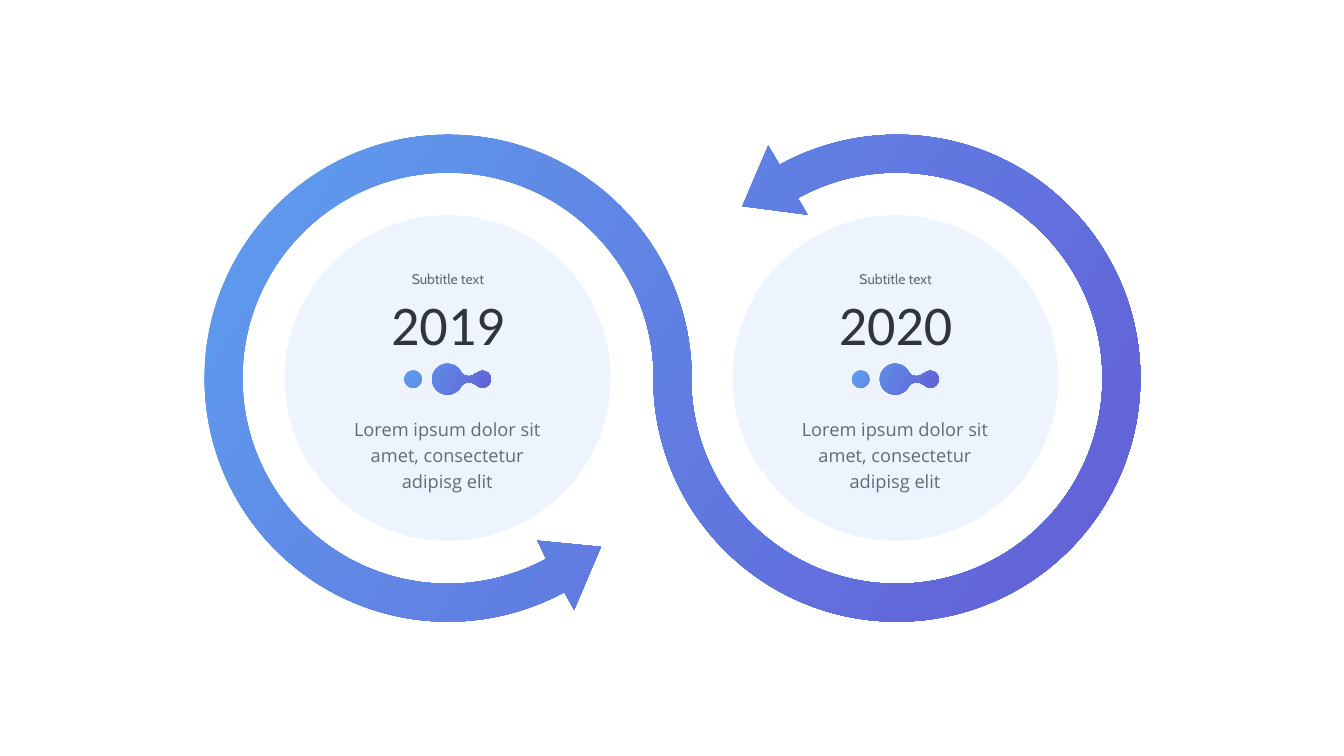
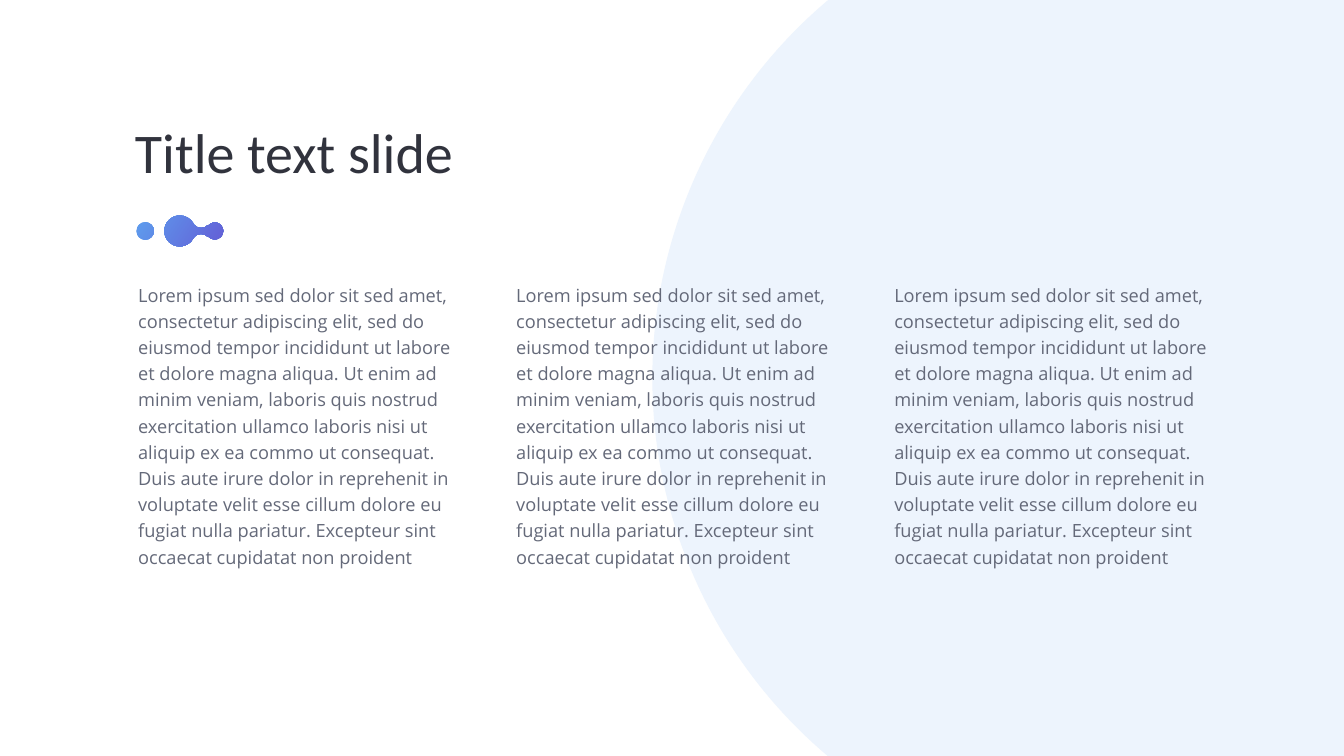
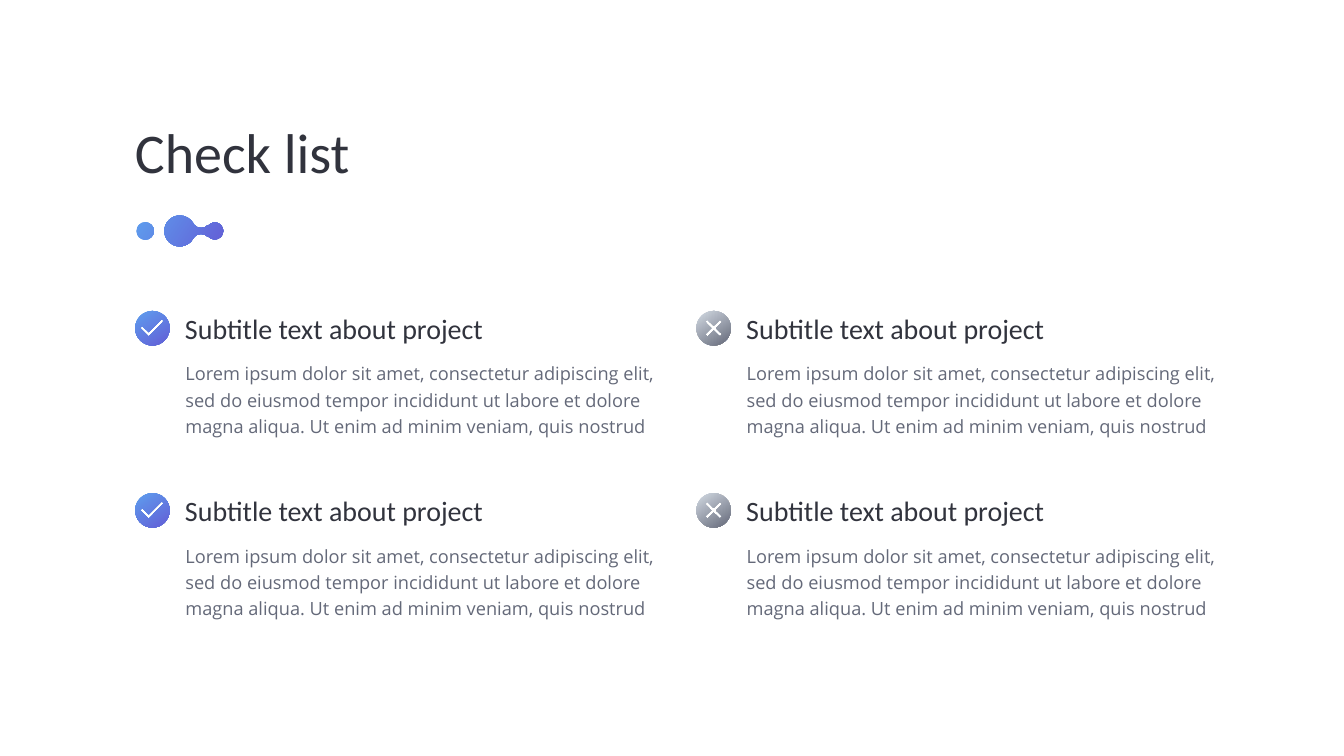
from math import cos, radians, sin, tan

from pptx import Presentation
from pptx.dml.color import RGBColor
from pptx.enum.shapes import MSO_SHAPE
from pptx.enum.text import MSO_ANCHOR, MSO_AUTO_SIZE, PP_ALIGN
from pptx.oxml.ns import qn
from pptx.util import Cm, Pt

OVAL = MSO_SHAPE.OVAL
TOP, MIDDLE = MSO_ANCHOR.TOP, MSO_ANCHOR.MIDDLE
LEFT, CENTER = PP_ALIGN.LEFT, PP_ALIGN.CENTER
FIT_SHAPE = MSO_AUTO_SIZE.SHAPE_TO_FIT_TEXT

INK, GRAY, PALE = "31333D", "646979", "EDF4FD"
BLUE_VIOLET = ("5E9EEE", "635ED6")
SILVER_GRAY = ("D4DBE4", GRAY)

TITLE = ("Calibri", 80, INK, MIDDLE, 1)
SUBTITLE = ("Calibri", 40, INK, MIDDLE, 1)
CAPTION = ("Cabin", 20, GRAY, MIDDLE, 1)
BODY = ("Open Sans", 26, GRAY, TOP, 1.2)

MARK = [
    [(2.18, 0.77, 0.78, -29, -331), (3.25, 1.4, 0.48, 214, 315),
     (3.94, 0.77, 0.43, 140, -140), (3.25, 0.14, 0.48, 45, 146)],
    [(0.44, 0.77, 0.44, 0, 360)],
]
BADGE = [(0.87, 0.87, 0.87, 0, 360)]
CHECK = [(0.69, 1.3), (0.25, 0.86), (0.36, 0.76), (0.69, 1.07), (1.35, 0.41), (1.45, 0.51)]
CROSS = [(1.3, 1.17), (1.19, 1.3), (0.87, 0.99), (0.55, 1.3), (0.44, 1.17), (0.75, 0.87),
         (0.44, 0.55), (0.55, 0.44), (0.87, 0.75), (1.19, 0.44), (1.3, 0.55), (0.99, 0.87)]
LOOP = [
    (22.58, 19.06, 12.27, 0, -298.5),
    (28.93, 30.73), (30.28, 27.56), (27.08, 27.25),
    (22.58, 19.06, 10.36, 61.5, 360),
    (45.19, 19.06, 12.27, 180, -118.8),
    (38.71, 7.34), (37.41, 10.39), (40.69, 10.82),
    (45.19, 19.06, 10.36, -118.8, 180),
]


def draw_outline(slide, contours, left, top, colors, angle):
    builder = None
    curved_steps = []
    for contour in contours:
        points, steps = [], []
        for x, y, *arc in contour:
            steps.append(False)
            if not arc:
                points.append((x, y))
                continue
            radius, start, end = arc
            quarters = [turn for turn in range(-360, 361, 90)
                        if min(start, end) < turn < max(start, end)]
            turns = [radians(turn) for turn in
                     [start, *sorted(quarters, reverse=start > end), end]]
            points.append((x + radius * cos(turns[0]), y + radius * sin(turns[0])))
            for a, b in zip(turns, turns[1:]):
                pull = 4 / 3 * tan((b - a) / 4)
                points += [
                    (x + radius * (cos(a) - pull * sin(a)), y + radius * (sin(a) + pull * cos(a))),
                    (x + radius * (cos(b) + pull * sin(b)), y + radius * (sin(b) - pull * cos(b))),
                    (x + radius * cos(b), y + radius * sin(b)),
                ]
                steps.append(True)
        points = [(Cm(x), Cm(y)) for x, y in points]
        if builder is None:
            builder = slide.shapes.build_freeform(*points[0])
        else:
            builder.move_to(*points[0])
        builder.add_line_segments(points[1:], close=True)
        curved_steps += steps[1:]
    shape = builder.convert_to_shape(Cm(left), Cm(top))

    lines = iter(list(shape.element.iter(qn("a:lnTo"))))
    for curved in curved_steps:
        line = next(lines)
        if curved:
            line.tag = qn("a:cubicBezTo")
            for extra in (next(lines), next(lines)):
                line.append(extra[0])
                extra.getparent().remove(extra)

    shape.shadow.inherit = False
    shape.line.fill.background()
    shape.fill.gradient()
    shape.fill.gradient_angle = 360 - angle
    for stop, color in zip(shape.fill.gradient_stops, colors):
        stop.color.rgb = RGBColor.from_string(color)


def write_text(slide, text, box, style, alignment=LEFT, placeholder=None):
    shape = placeholder or slide.shapes.add_textbox(0, 0, 0, 0)
    shape.left, shape.top, shape.width, shape.height = [Cm(length) for length in box]
    font, size, color, anchor, spacing = style
    frame = shape.text_frame
    frame.word_wrap = True
    frame.auto_size = FIT_SHAPE
    frame.vertical_anchor = anchor
    frame.margin_left = frame.margin_right = Cm(0.15)
    frame.margin_top = frame.margin_bottom = Cm(0.15)
    paragraph = frame.paragraphs[0]
    paragraph.alignment = alignment
    paragraph.line_spacing = spacing
    run = paragraph.add_run()
    run.text = text
    run.font.name = font
    run.font.size = Pt(size)
    run.font.color.rgb = RGBColor.from_string(color)


presentation = Presentation()
presentation.slide_width = Cm(67.72)
presentation.slide_height = Cm(38.1)
title_only, blank = presentation.slide_layouts[5], presentation.slide_layouts[6]
years_slide, text_slide, check_slide = [
    presentation.slides.add_slide(layout) for layout in (blank, title_only, title_only)
]

for slide, left, top, size in [
    (years_slide, 14.35, 10.85, 16.41),
    (years_slide, 36.91, 10.85, 16.41),
    (text_slide, 32.87, -5.87, 49.86),
]:
    disc = slide.shapes.add_shape(OVAL, Cm(left), Cm(top), Cm(size), Cm(size))
    disc.shadow.inherit = False
    disc.fill.solid()
    disc.fill.fore_color.rgb = RGBColor.from_string(PALE)
    disc.line.fill.background()

for slide, title, width in [
    (text_slide, "Title text slide", 25.32),
    (check_slide, "Check list", 33.48),
]:
    write_text(slide, title, (6.65, 5.77, width, 3.66), TITLE, placeholder=slide.shapes.title)
    draw_outline(slide, MARK, 6.88, 10.87, BLUE_VIOLET, 33)

draw_outline(years_slide, [LOOP], 0, 0, BLUE_VIOLET, 33)
for column, year in enumerate(["2019", "2020"]):
    shift = column * 22.56
    write_text(years_slide, year, (18.11 + shift, 14.43, 8.92, 3.66), TITLE, CENTER)
    draw_outline(years_slide, MARK, 20.37 + shift, 18.34, BLUE_VIOLET, 33)
    write_text(years_slide, "Subtitle text", (19.08 + shift, 13.51, 6.98, 1.12), CAPTION, CENTER)
    write_text(years_slide, "Lorem ipsum dolor sit amet, consectetur adipisg elit",
               (17.22 + shift, 20.7, 10.64, 4.24), BODY, CENTER)

column_text = (
    "Lorem ipsum sed dolor sit sed amet, consectetur adipiscing elit, sed do eiusmod tempor "
    "incididunt ut labore et dolore magna aliqua. Ut enim ad minim veniam, laboris quis nostrud "
    "exercitation ullamco laboris nisi ut aliquip ex ea commo ut consequat. Duis aute irure dolor "
    "in reprehenit in voluptate velit esse cillum dolore eu fugiat nulla pariatur. Excepteur sint "
    "occaecat cupidatat non proident"
)
for column in range(3):
    write_text(text_slide, column_text, (6.81 + column * 19.05, 13.94, 16.08, 14.81), BODY)

item_text = (
    "Lorem ipsum dolor sit amet, consectetur adipiscing elit, sed do eiusmod tempor incididunt "
    "ut labore et dolore magna aliqua. Ut enim ad minim veniam, quis nostrud"
)
for column, (symbol, colors) in enumerate([(CHECK, BLUE_VIOLET), (CROSS, SILVER_GRAY)]):
    for row in range(2):
        left, top = 6.81 + column * 28.28, 15.67 + row * 9.18
        draw_outline(check_slide, [BADGE, symbol], left, top, colors, 56)
        write_text(check_slide, "Subtitle text about project",
                   (left + 2.36, top - 0.1, 19.1, 1.98), SUBTITLE)
        write_text(check_slide, item_text, (left + 2.38, top + 2.24, 24.05, 4.24), BODY)

presentation.save("out.pptx")
